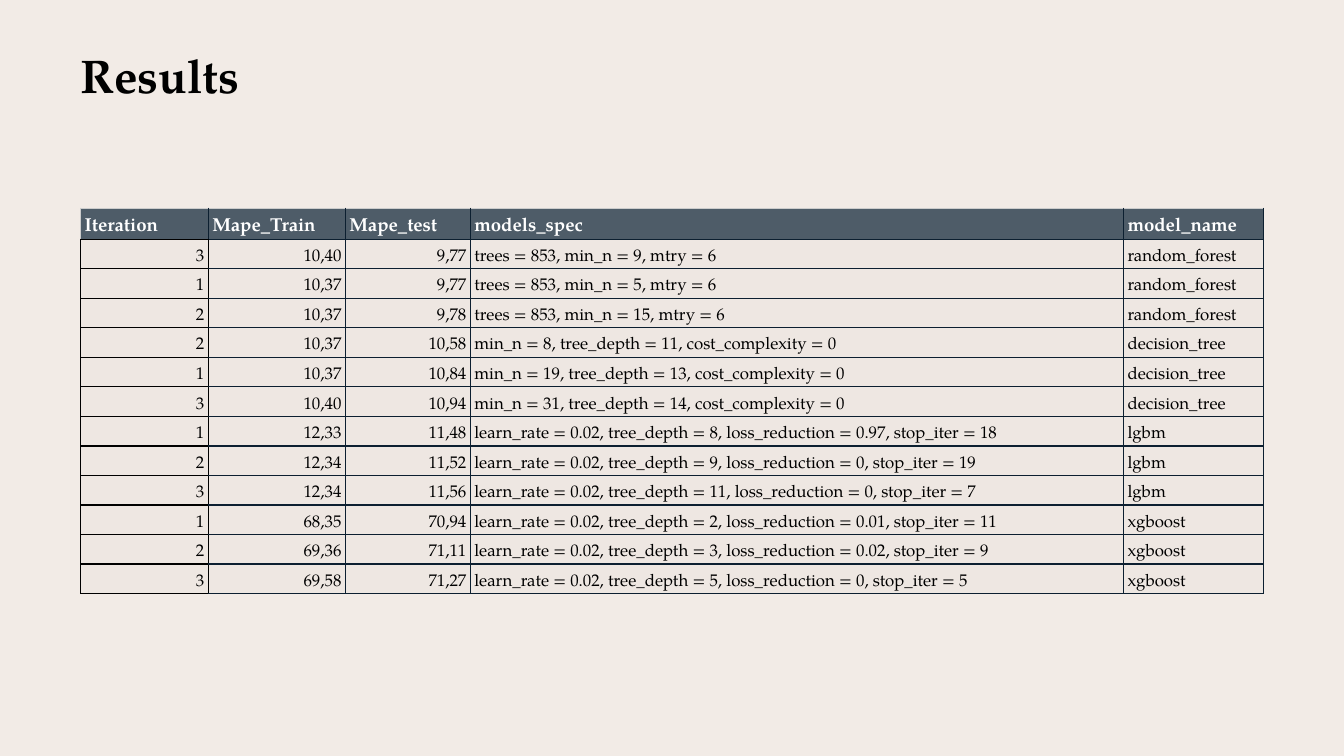
from lxml import etree
from pptx import Presentation
from pptx.dml.color import RGBColor
from pptx.enum import text
from pptx.oxml import ns
from pptx.util import Inches, Pt

# Content
TITLE = "Results"
HEADERS = ["Iteration", "Mape_Train", "Mape_test", "models_spec", "model_name"]
# Model name, then (iteration, train error, test error, specification)
MODELS = {
    "random_forest": [
        ("3", "10,40", "9,77", "trees = 853, min_n = 9, mtry = 6"),
        ("1", "10,37", "9,77", "trees = 853, min_n = 5, mtry = 6"),
        ("2", "10,37", "9,78", "trees = 853, min_n = 15, mtry = 6"),
    ],
    "decision_tree": [
        ("2", "10,37", "10,58", "min_n = 8, tree_depth = 11, cost_complexity = 0"),
        ("1", "10,37", "10,84", "min_n = 19, tree_depth = 13, cost_complexity = 0"),
        ("3", "10,40", "10,94", "min_n = 31, tree_depth = 14, cost_complexity = 0"),
    ],
    "lgbm": [
        ("1", "12,33", "11,48", "learn_rate = 0.02, tree_depth = 8, loss_reduction = 0.97, stop_iter = 18"),
        ("2", "12,34", "11,52", "learn_rate = 0.02, tree_depth = 9, loss_reduction = 0, stop_iter = 19"),
        ("3", "12,34", "11,56", "learn_rate = 0.02, tree_depth = 11, loss_reduction = 0, stop_iter = 7"),
    ],
    "xgboost": [
        ("1", "68,35", "70,94", "learn_rate = 0.02, tree_depth = 2, loss_reduction = 0.01, stop_iter = 11"),
        ("2", "69,36", "71,11", "learn_rate = 0.02, tree_depth = 3, loss_reduction = 0.02, stop_iter = 9"),
        ("3", "69,58", "71,27", "learn_rate = 0.02, tree_depth = 5, loss_reduction = 0, stop_iter = 5"),
    ],
}
ROWS = [HEADERS] + [[*run, name] for name, runs in MODELS.items() for run in runs]

# Format
SLIDE_WIDTH = 10
SLIDE_HEIGHT = SLIDE_WIDTH * 9 / 16
BACKGROUND = RGBColor(0xF2, 0xEB, 0xE6)
BLACK = RGBColor(0, 0, 0)
WHITE = RGBColor(0xFF, 0xFF, 0xFF)
SLATE = RGBColor(0x4E, 0x5C, 0x68)
CREAM = RGBColor(0xEE, 0xE7, 0xE2)
NAVY = RGBColor(0x0C, 0x1F, 0x30)
GREY = RGBColor(0xCC, 0xCC, 0xCC)
FONT = "TeX Gyre Pagella"
TITLE_FONT = {"name": FONT, "size": Pt(25.2), "bold": True}
HEADER_FONT = {"name": FONT, "size": Pt(10), "bold": True}
BODY_FONT = {"name": FONT, "size": Pt(9), "bold": False}
CELL = {
    "vertical_anchor": text.MSO_ANCHOR.BOTTOM,
    "margin_left": Inches(0.03), "margin_right": Inches(0.03),
    "margin_top": Inches(0.02), "margin_bottom": Inches(0.02),
}
COL_WIDTHS = [0.95, 1.02, 0.93, 4.86, 1.04]
HEADER_HEIGHT, ROW_HEIGHT = 0.23, 0.22
NUMBER_COLS = 3


def apply(target, values):
    for name, value in values.items():
        setattr(target, name, value)


def set_font(p, values, color):
    apply(p.font, values)
    p.font.color.rgb = color


def set_borders(cell, colors):
    tc_pr = cell._tc.get_or_add_tcPr()
    for side in "LRTB":
        line = etree.SubElement(tc_pr, ns.qn(f"a:ln{side}"), w=str(Pt(0.78)))
        fill = etree.SubElement(line, ns.qn("a:solidFill"))
        etree.SubElement(fill, ns.qn("a:srgbClr"), val=str(colors[side]))


def border_colors(row, col):
    """Navy grid, with a black first column and a grey top and left header edge."""
    colors = dict.fromkeys("LRTB", NAVY)
    if row == 0:
        colors["T"] = GREY
        if col == 0:
            colors.update(L=GREY, B=BLACK)
    elif col == 0:
        colors = dict.fromkeys("LRTB", BLACK)
    elif col == 1:
        colors["L"] = BLACK
    return colors


prs = Presentation()
prs.slide_width, prs.slide_height = Inches(SLIDE_WIDTH), Inches(SLIDE_HEIGHT)
s = prs.slides.add_slide(prs.slide_layouts[5])
s.background.fill.solid()
s.background.fill.fore_color.rgb = BACKGROUND

# Title
title = s.shapes.title
apply(title, {"left": Inches(0.5), "top": Inches(0.24),
              "width": Inches(9), "height": Inches(0.63)})
tf = title.text_frame
tf.text = TITLE
apply(tf, {"auto_size": text.MSO_AUTO_SIZE.NONE, "word_wrap": True,
           "vertical_anchor": text.MSO_ANCHOR.MIDDLE})
apply(tf, {f"margin_{side}": Inches(0.1) for side in ("left", "right", "top", "bottom")})
tf.paragraphs[0].alignment = text.PP_ALIGN.LEFT
set_font(tf.paragraphs[0], TITLE_FONT, BLACK)

# Results table
heights = [HEADER_HEIGHT] + [ROW_HEIGHT] * (len(ROWS) - 1)
table = s.shapes.add_table(
    len(ROWS), len(HEADERS), Inches(0.6), Inches(1.55),
    Inches(sum(COL_WIDTHS)), Inches(sum(heights))).table
table.horz_banding = False
for column, width in zip(table.columns, COL_WIDTHS):
    column.width = Inches(width)
for i, (values, height) in enumerate(zip(ROWS, heights)):
    table.rows[i].height = Inches(height)
    header = i == 0
    for j, value in enumerate(values):
        cell = table.cell(i, j)
        cell.text = value
        apply(cell, CELL)
        set_borders(cell, border_colors(i, j))
        cell.fill.solid()
        cell.fill.fore_color.rgb = SLATE if header else CREAM
        p = cell.text_frame.paragraphs[0]
        p.line_spacing = 1.15
        number = not header and j < NUMBER_COLS
        p.alignment = text.PP_ALIGN.RIGHT if number else text.PP_ALIGN.LEFT
        set_font(p, HEADER_FONT if header else BODY_FONT, WHITE if header else BLACK)

prs.save("out.pptx")
